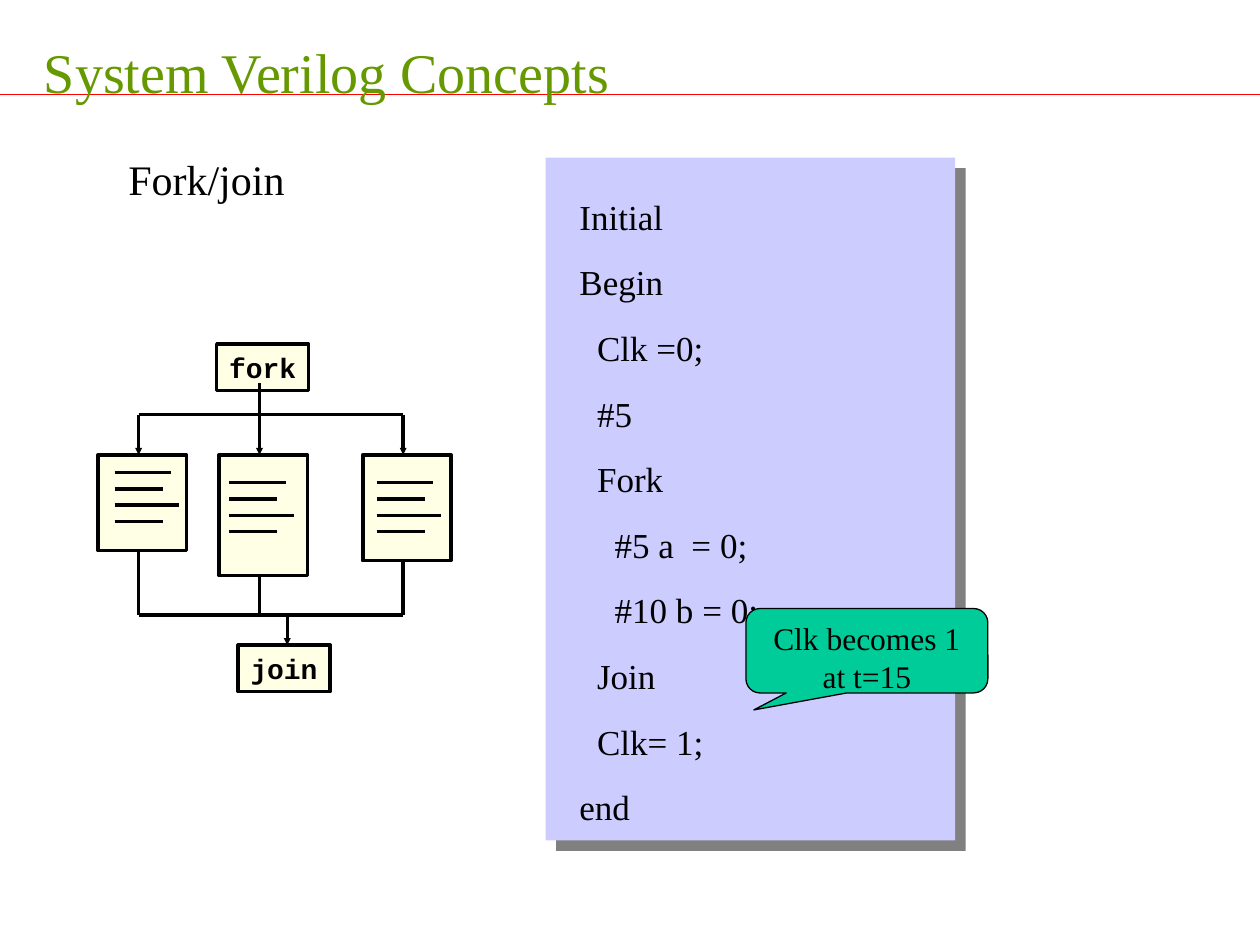
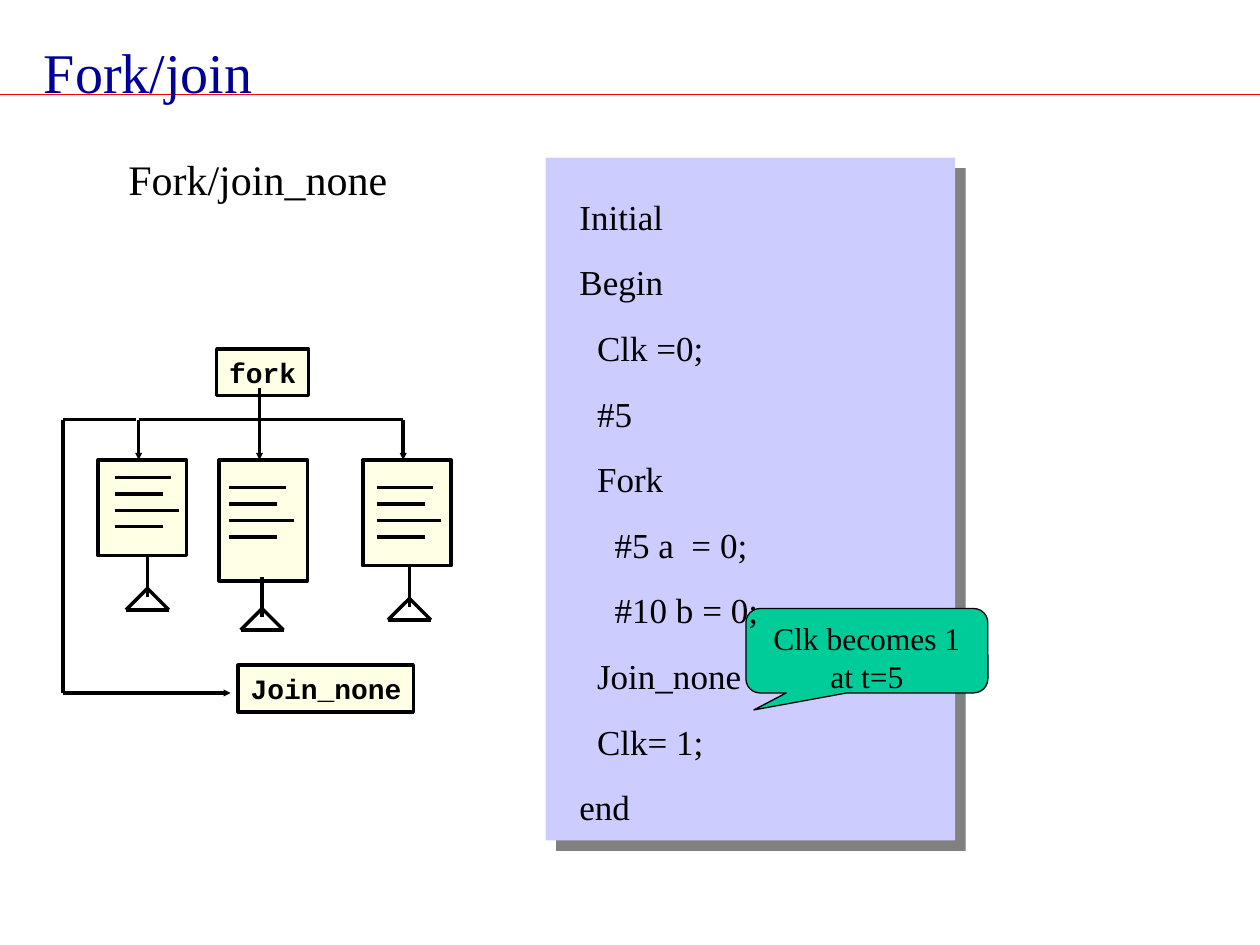
from lxml.etree import SubElement
from pptx import Presentation
from pptx.dml.color import RGBColor
from pptx.enum.shapes import MSO_CONNECTOR as LINK, MSO_SHAPE as SHAPE
from pptx.enum.text import MSO_ANCHOR as ANCHOR, PP_ALIGN as ALIGN
from pptx.oxml.ns import qn
from pptx.util import Inches, Pt

COLORS = {
    "ink": "000000",
    "rule": "FF0000",
    "green": "669900",
    "navy": "000099",
    "cream": "FFFFE5",
    "panel": "CCCCFF",
    "shade": "808080",
    "note": "00CC99",
}
SERIF, MONO = "Times New Roman", "Courier New"
STEP = 0.14  # one code indent, two spaces wide at 20 pt

# Each thread box: left, height, centre of its arrow, left and drop of its ticks
THREADS = [
    (1.74, 0.96, 2.06, 1.82, 0.22),
    (0.78, 0.76, 1.10, 0.91, 0.14),
    (2.88, 0.84, 3.20, 2.99, 0.22),
]
TICKS = [0.45, 0.38, 0.51, 0.38]
LEFT, RIGHT = 1.1, 3.2  # ends of the bus


def color(name):
    return RGBColor.from_string(COLORS[name])


def add_line(shapes, x1, y1, x2, y2, tint="ink", width=2, arrow=False):
    line = shapes.add_connector(LINK.STRAIGHT, *map(Inches, (x1, y1, x2, y2)))
    line.line.color.rgb = color(tint)
    line.line.width = Pt(width)
    if arrow:
        SubElement(line.line._get_or_add_ln(), qn("a:tailEnd"),
                   type="triangle", w="sm", len="sm")
    SubElement(line._element.spPr, qn("a:effectLst"))


def add_box(shapes, kind, place, fill, width=2):
    box = shapes.add_shape(kind, *map(Inches, place))
    box.shadow.inherit = False
    box.fill.solid()
    box.fill.fore_color.rgb = color(fill)
    if width:
        box.line.color.rgb = color("ink")
        box.line.width = Pt(width)
    else:
        box.line.fill.background()
    return box


def add_run(para, text, size, tint="ink", face=SERIF, bold=False):
    run = para.add_run()
    run.text = text
    font = run.font
    font.size, font.name, font.bold = Pt(size), face, bold
    font.color.rgb = color(tint)


def add_text(shapes, place, lines, size, space, tint="ink"):
    """Write (indent level, text) pairs, one paragraph each."""
    frame = shapes.add_textbox(*map(Inches, place)).text_frame
    frame.word_wrap = True
    for i, (level, text) in enumerate(lines):
        para = frame.add_paragraph() if i else frame.paragraphs[0]
        para.space_before = Pt(space)
        if level:
            props = para._p.get_or_add_pPr()
            props.set("marL", str(Inches(level * STEP)))
            props.set("indent", "0")
        add_run(para, text, size, tint)


def add_label(shapes, left, top, width, text):
    box = add_box(shapes, SHAPE.RECTANGLE, (left, top, width, 0.37), "cream")
    frame = box.text_frame
    frame.word_wrap = False
    frame.vertical_anchor = ANCHOR.MIDDLE
    para = frame.paragraphs[0]
    para.alignment = ALIGN.LEFT
    add_run(para, text, 16, face=MONO, bold=True)


def add_fork(shapes, bus):
    """Draw the fork label, its arrows and the threads around the bus height."""
    top = bus + 0.32
    for left, tall, _, _, _ in THREADS:
        add_box(shapes, SHAPE.RECTANGLE, (left, top, 0.7, tall), "cream")
    add_label(shapes, 1.72, bus - 0.56, 0.73, "fork")
    add_line(shapes, LEFT, bus, RIGHT, bus)
    add_line(shapes, 2.06, bus - 0.25, 2.06, bus)
    for _, _, mid, start, drop in THREADS:
        add_line(shapes, mid, bus, mid, top, arrow=True)
        group = shapes.add_group_shape().shapes
        for i, length in enumerate(TICKS):
            y = top + drop + i * 0.13
            add_line(group, start, y, start + length, y)


def add_join(shapes, bus):
    """Bring all threads back to one join."""
    end = 4.88
    add_label(shapes, 1.89, 5.12, 0.73, "join")
    add_line(shapes, LEFT, end, RIGHT, end)
    for _, tall, mid, _, _ in THREADS:
        add_line(shapes, mid, bus + 0.32 + tall, mid, end)
    add_line(shapes, 2.28, end, 2.28, 5.12, arrow=True)


def add_bypass(shapes, bus):
    """Lead past the threads straight to the join."""
    side, end = 0.5, 5.5
    add_label(shapes, 1.89, 5.28, 1.39, "Join_none")
    add_line(shapes, 1.08, bus, side, bus)
    add_line(shapes, side, bus, side, end)
    add_line(shapes, side, end, 1.83, end, arrow=True)


def add_stand(shapes, x, top):
    """End a thread with a stem on a triangle."""
    tip, base, half = top + 0.25, top + 0.42, 0.17
    add_line(shapes, x, top, x, top + 0.32)
    group = shapes.add_group_shape().shapes
    add_line(group, x, tip, x - half, base)
    add_line(group, x, tip, x + half, base)
    add_line(group, x - half, base, x + half, base)


def add_panel(shapes):
    panel = add_box(shapes, SHAPE.RECTANGLE, (4.33, 1.25, 3.25, 5.42), "panel", 0)
    effects = panel._element.spPr.find(qn("a:effectLst"))
    shade = SubElement(effects, qn("a:outerShdw"), dist=str(Pt(8.5)),
                       dir="2700000", algn="ctr", rotWithShape="0")
    SubElement(shade, qn("a:srgbClr"), val=COLORS["shade"])


def add_code(shapes, join):
    lines = [
        (0, "Initial"), (0, "Begin"), (1, "Clk =0;"), (1, "#5"), (1, "Fork"),
        (2, "#5 a  = 0;"), (2, "#10 b = 0;"), (1, join), (1, "Clk= 1;"),
        (0, "end"),
    ]
    add_text(shapes, (4.5, 1.5, 4.42, 5), lines, 20, 13.5)


def add_note(shapes, text):
    note = add_box(shapes, SHAPE.ROUNDED_RECTANGULAR_CALLOUT,
                   (5.92, 4.83, 1.92, 0.67), "note", 0.75)
    for i, value in enumerate((-0.467, 0.701, 0.167)):
        note.adjustments[i] = value
    frame = note.text_frame
    frame.word_wrap = True
    frame.vertical_anchor = ANCHOR.TOP
    para = frame.paragraphs[0]
    para.alignment = ALIGN.CENTER
    add_run(para, text, 18)


def add_page(deck, title, tint, topic):
    shapes = deck.slides.add_slide(deck.slide_layouts[6]).shapes
    add_line(shapes, 0, 0.75, 10, 0.75, "rule", 0.75)
    add_text(shapes, (0.25, 0.25, 5.25, 0.64), [(0, title)], 32, 20, tint)
    add_text(shapes, (0.92, 1.17, 3.17, 0.5), [(0, topic)], 24, 15)
    add_panel(shapes)
    return shapes


def main():
    deck = Presentation()
    deck.slide_width, deck.slide_height = Inches(10), Inches(7.5)

    bus = 3.29
    shapes = add_page(deck, "System Verilog Concepts", "green", "Fork/join")
    add_fork(shapes, bus)
    add_join(shapes, bus)
    add_code(shapes, "Join")
    add_note(shapes, "Clk becomes 1 at t=15")

    bus = 3.33
    shapes = add_page(deck, "Fork/join", "navy", "Fork/join_none")
    add_fork(shapes, bus)
    add_bypass(shapes, bus)
    for x, top in ((1.17, 4.42), (2.08, 4.58), (3.25, 4.5)):
        add_stand(shapes, x, top)
    add_note(shapes, "Clk becomes 1 at t=5")
    add_code(shapes, "Join_none")

    deck.save("out.pptx")


if __name__ == "__main__":
    main()
